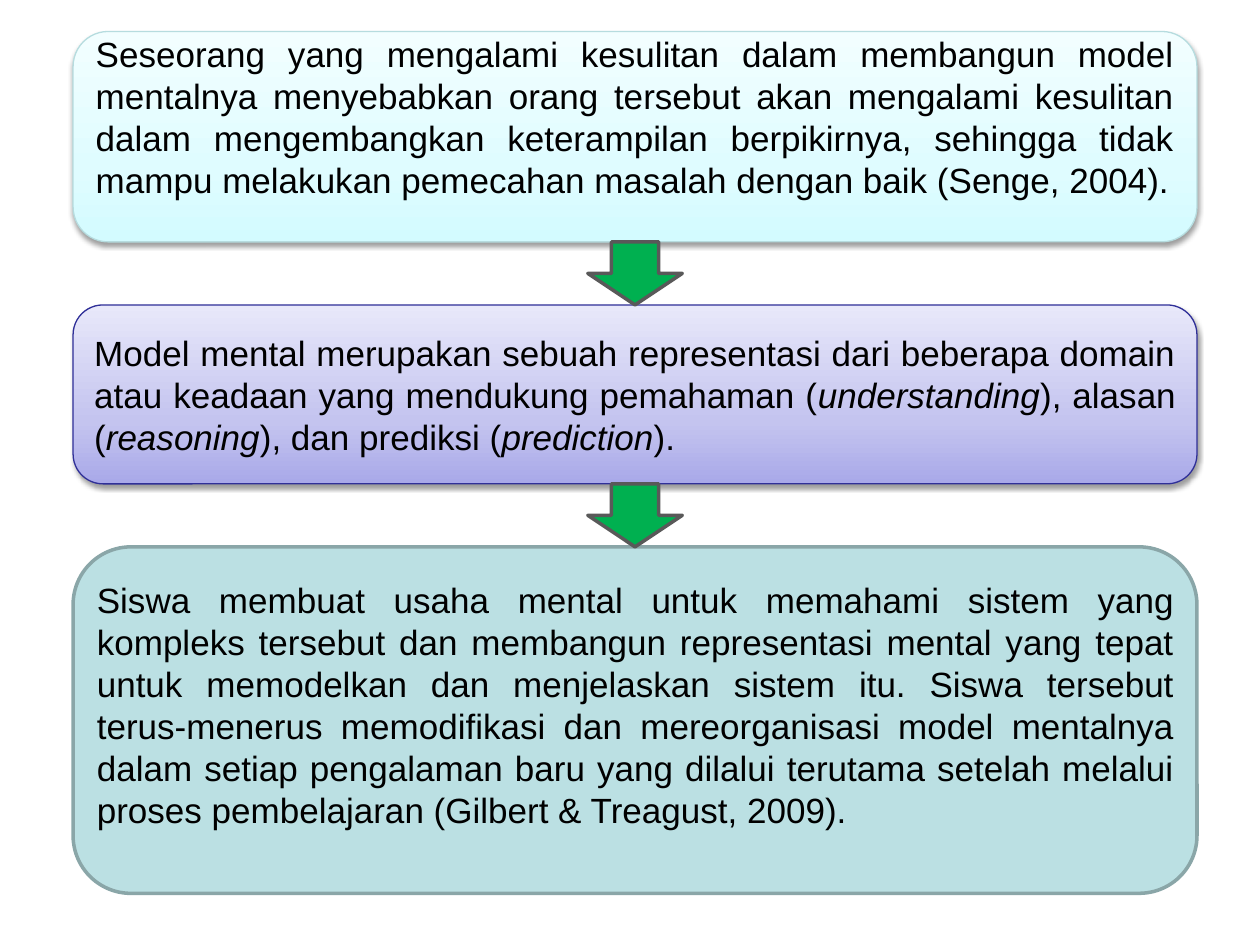
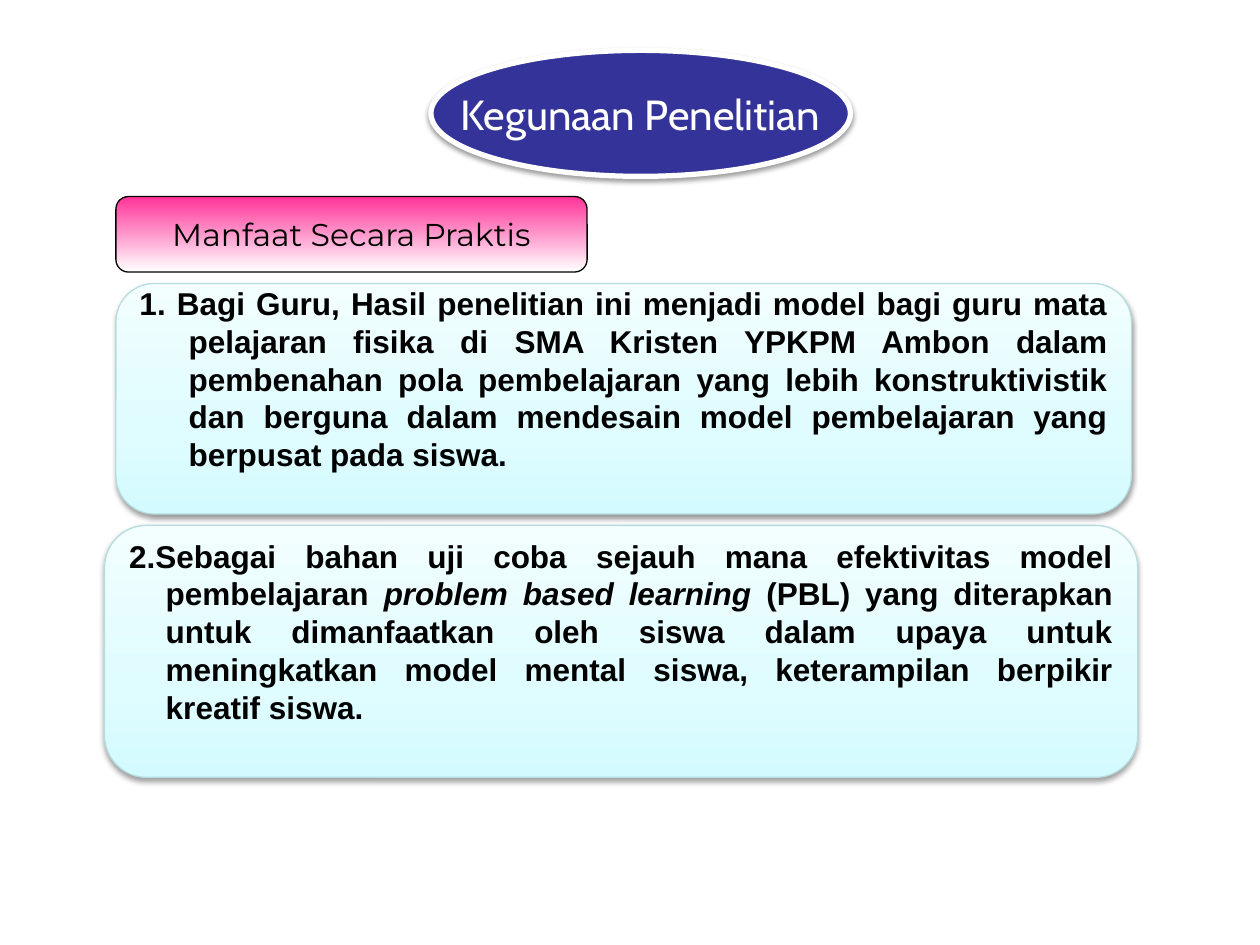
from copy import deepcopy

from lxml.etree import SubElement
from pptx import Presentation
from pptx.dml.color import RGBColor
from pptx.enum.shapes import MSO_SHAPE
from pptx.enum.text import MSO_ANCHOR, PP_ALIGN
from pptx.oxml.ns import qn
from pptx.util import Inches, Pt

# Content: text between asterisks is italic
CHAIN_TOP = 0.25
CHAIN = [
    (1.67, "ice", "Seseorang yang mengalami kesulitan dalam membangun model mentalnya "
     "menyebabkan orang tersebut akan mengalami kesulitan dalam mengembangkan keterampilan "
     "berpikirnya, sehingga tidak mampu melakukan pemecahan masalah dengan baik (Senge, 2004)."),
    (1.42, "violet", "Model mental merupakan sebuah representasi dari beberapa domain atau "
     "keadaan yang mendukung pemahaman (*understanding*), alasan (*reasoning*), dan prediksi "
     "(*prediction*)."),
]
CONCLUSION = (
    "Siswa membuat usaha mental untuk memahami sistem yang kompleks tersebut dan membangun "
    "representasi mental yang tepat untuk memodelkan dan menjelaskan sistem itu. Siswa tersebut "
    "terus-menerus memodifikasi dan mereorganisasi model mentalnya dalam setiap pengalaman baru "
    "yang dilalui terutama setelah melalui proses pembelajaran (Gilbert & Treagust, 2009).")
TITLE = "Kegunaan Penelitian"
SUBTITLE = "Manfaat Secara Praktis"
BENEFITS = [  # position, hanging indent, text
    ((0.92, 2.25, 8.06, 1.83), 0.39,
     "1. Bagi Guru, Hasil penelitian ini menjadi model bagi guru mata pelajaran fisika di SMA "
     "Kristen YPKPM Ambon dalam pembenahan pola pembelajaran yang lebih konstruktivistik dan "
     "berguna dalam mendesain model pembelajaran yang berpusat pada siswa."),
    ((0.83, 4.17, 8.2, 2), 0.29,
     "2.Sebagai bahan uji coba sejauh mana efektivitas model pembelajaran *problem based "
     "learning* (PBL) yang diterapkan untuk dimanfaatkan oleh siswa dalam upaya untuk "
     "meningkatkan model mental siswa, keterampilan berpikir kreatif siswa."),
]

# Shared style
BLACK = RGBColor(0x00, 0x00, 0x00)
WHITE = RGBColor(0xFF, 0xFF, 0xFF)
NAVY = RGBColor(0x33, 0x33, 0x99)
TEAL = RGBColor(0xBB, 0xE0, 0xE3)
TEAL_EDGE = RGBColor(0x8A, 0xA6, 0xA8)
GREEN = RGBColor(0x00, 0xB0, 0x50)
GREY = RGBColor(0x59, 0x59, 0x59)
ICE_EDGE = RGBColor(0xB6, 0xDC, 0xDF)
VIOLET_EDGE = RGBColor(0x2F, 0x2F, 0x98)
ICE = [(0, RGBColor(0xD3, 0xFB, 0xFF)), (0.35, RGBColor(0xDF, 0xFC, 0xFF)),
       (1, RGBColor(0xF2, 0xFE, 0xFF))]
VIOLET = [(0, RGBColor(0xA9, 0xA9, 0xE9)), (0.35, RGBColor(0xC4, 0xC4, 0xEF)),
          (1, RGBColor(0xE8, 0xE8, 0xFA))]
PINK = [(0, WHITE), (1, RGBColor(0xFF, 0x33, 0x99))]
PANEL_STYLES = {"ice": (ICE, ICE_EDGE), "violet": (VIOLET, VIOLET_EDGE)}
BOTTOM_ROOM = {"ice": 0.37, "violet": 0.05}

CHAIN_LEFT, CHAIN_WIDTH = 0.58, 8.92
ARROW_WIDTH, ARROW_HEIGHT = 0.75, 0.5


def fill_upward(shape, stops):
    """Gradient that runs from the bottom edge to the top edge."""
    shape.fill.gradient()
    shape.fill.gradient_angle = 90
    stop_list = shape.element.spPr.find(".//" + qn("a:gsLst"))
    for _ in stops[2:]:
        stop_list.append(deepcopy(stop_list[0]))
    for stop, (position, color) in zip(shape.fill.gradient_stops, stops):
        stop.position = position
        stop.color.rgb = color


def add_shadow(shape):
    effects = shape.element.spPr.find(qn("a:effectLst"))
    outer = SubElement(effects, qn("a:outerShdw"), blurRad=str(Pt(3.1)), dist=str(Pt(1.6)),
                       dir="5400000", rotWithShape="0")
    color = SubElement(outer, qn("a:srgbClr"), val="000000")
    SubElement(color, qn("a:alpha"), val="38000")


def add_shape(slide, kind, position, fill, edge, edge_width=0.75, shadow=False):
    shape = slide.shapes.add_shape(kind, *map(Inches, position))
    shape.shadow.inherit = False
    if isinstance(fill, list):
        fill_upward(shape, fill)
    else:
        shape.fill.solid()
        shape.fill.fore_color.rgb = fill
    shape.line.color.rgb = edge
    shape.line.width = Pt(edge_width)
    if shadow:
        add_shadow(shape)
    return shape


def write(shape, text, size, font="Arial", color=BLACK, align=PP_ALIGN.JUSTIFY,
          anchor=MSO_ANCHOR.MIDDLE, bold=False, wrap=True, hanging=0):
    frame = shape.text_frame
    frame.word_wrap = wrap
    frame.vertical_anchor = anchor
    paragraph = frame.paragraphs[0]
    paragraph.alignment = align
    if hanging:
        properties = paragraph._p.get_or_add_pPr()
        properties.set("marL", str(Inches(hanging)))
        properties.set("indent", str(-Inches(hanging)))
    paragraph.font.name = font
    paragraph.font.size = Pt(size)
    paragraph.font.bold = bold
    paragraph.font.color.rgb = color
    for index, part in enumerate(text.split("*")):
        run = paragraph.add_run()
        run.text = part
        if index % 2:
            run.font.italic = True


def add_panel(slide, position, style, text, size, **options):
    fill, edge = PANEL_STYLES[style]
    panel = add_shape(slide, MSO_SHAPE.ROUNDED_RECTANGLE, position, fill, edge, shadow=True)
    panel.text_frame.margin_bottom = Inches(BOTTOM_ROOM[style])
    write(panel, text, size, **options)


def build_mental_model_slide(slide):
    # Panels from top to bottom, each followed by an arrow
    arrow_left = CHAIN_LEFT + (CHAIN_WIDTH - ARROW_WIDTH) / 2
    top = CHAIN_TOP
    arrow_tops = []
    for height, style, text in CHAIN:
        add_panel(slide, (CHAIN_LEFT, top, CHAIN_WIDTH, height), style, text, 20)
        arrow_tops.append(top + height)
        top += height + ARROW_HEIGHT

    # Conclusion
    add_shape(slide, MSO_SHAPE.ROUNDED_RECTANGLE, (CHAIN_LEFT, top, CHAIN_WIDTH, 2.75),
              TEAL, TEAL_EDGE, 2)
    conclusion = slide.shapes.add_textbox(Inches(0.67), Inches(4.54), Inches(8.75), Inches(2.46))
    write(conclusion, CONCLUSION, 20, anchor=MSO_ANCHOR.TOP)

    for arrow_top in arrow_tops:
        add_shape(slide, MSO_SHAPE.DOWN_ARROW,
                  (arrow_left, arrow_top, ARROW_WIDTH, ARROW_HEIGHT), GREEN, GREY, 2)


def build_benefits_slide(slide):
    # Title
    title = add_shape(slide, MSO_SHAPE.OVAL, (3.42, 0.4, 3.33, 1), NAVY, WHITE, 3, shadow=True)
    write(title, TITLE, 24, "Cabin", WHITE, PP_ALIGN.CENTER, wrap=False)

    # Numbered benefits
    for position, hanging, text in BENEFITS:
        add_panel(slide, position, "ice", text, 18, bold=True, hanging=hanging)

    # Subtitle
    subtitle = add_shape(slide, MSO_SHAPE.ROUNDED_RECTANGLE, (0.92, 1.56, 3.74, 0.6), PINK, BLACK)
    write(subtitle, SUBTITLE, 18, "Montserrat", align=PP_ALIGN.CENTER, wrap=False)


def main():
    presentation = Presentation()
    presentation.slide_width = Inches(10)
    presentation.slide_height = Inches(7.5)
    for build in (build_mental_model_slide, build_benefits_slide):
        build(presentation.slides.add_slide(presentation.slide_layouts[6]))
    presentation.save("out.pptx")


if __name__ == "__main__":
    main()
